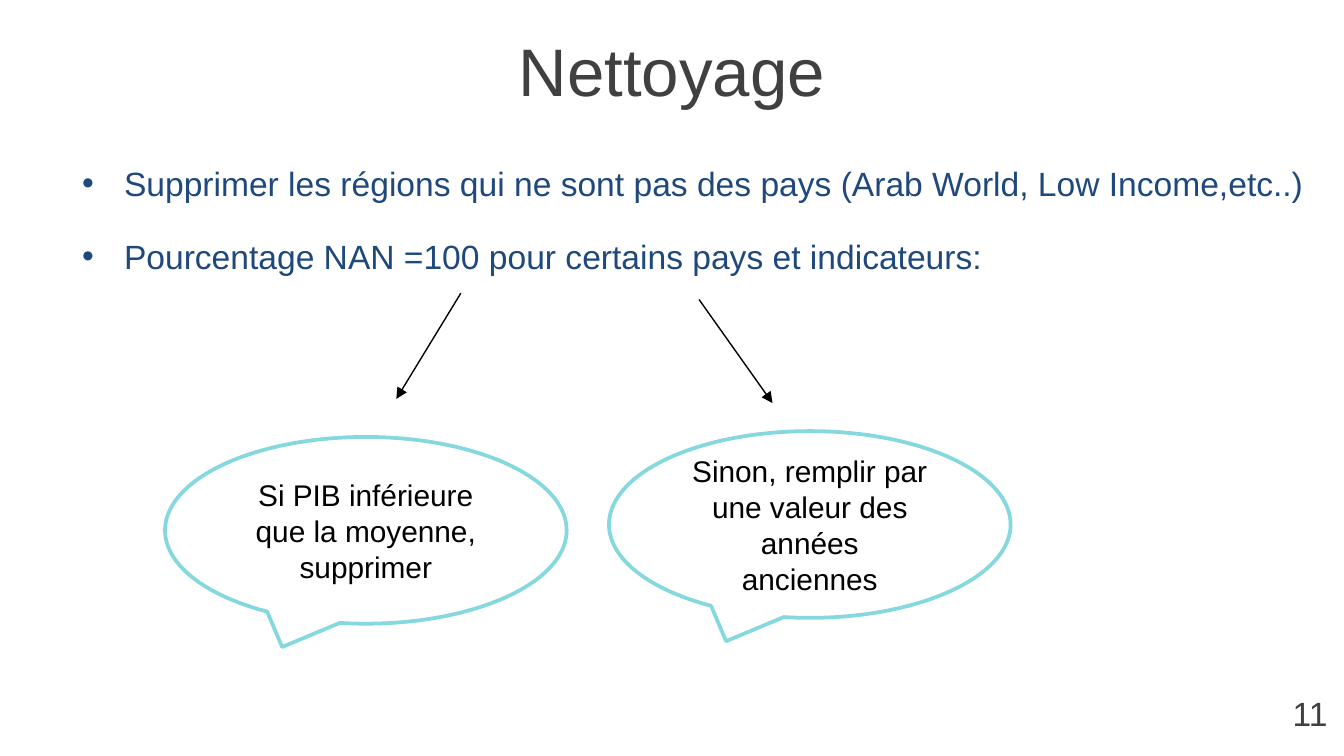
from lxml import etree
from pptx import Presentation
from pptx.dml.color import RGBColor
from pptx.enum.shapes import MSO_CONNECTOR, MSO_SHAPE
from pptx.enum.text import MSO_ANCHOR, MSO_AUTO_SIZE, PP_ALIGN
from pptx.oxml.ns import qn
from pptx.util import Cm, Pt

STRAIGHT = MSO_CONNECTOR.STRAIGHT
CALLOUT = MSO_SHAPE.OVAL_CALLOUT
MIDDLE, TOP = MSO_ANCHOR.MIDDLE, MSO_ANCHOR.TOP
CENTER, LEFT = PP_ALIGN.CENTER, PP_ALIGN.LEFT
NO_AUTOFIT = MSO_AUTO_SIZE.NONE

WHITE = RGBColor(0xFF, 0xFF, 0xFF)
BLACK = RGBColor(0x00, 0x00, 0x00)
GREY = RGBColor(0x40, 0x40, 0x40)
NAVY = RGBColor(0x1F, 0x49, 0x7D)
AQUA = RGBColor(0x85, 0xD8, 0xDE)
FONT = "Arial"

BULLETS = [
    "Supprimer les régions qui ne sont pas des pays (Arab World, Low Income,etc..)",
    "Pourcentage NAN =100 pour certains pays et indicateurs:",
]
# Start and end of each arrow, in cm
ARROWS = [((8.71, 5.54), (7.49, 7.54)), ((13.21, 5.66), (14.6, 7.62))]
# Left, top (cm) and lines of each callout
CALLOUTS = [
    (11.51, 8.15, ["Sinon, remplir par une valeur des", "années", "anciennes"]),
    (3.12, 8.26, ["Si PIB inférieure", "que la moyenne,", "supprimer"]),
]


def place(shape, left, top, width, height):
    shape.left, shape.top = Cm(left), Cm(top)
    shape.width, shape.height = Cm(width), Cm(height)


def write(tf, lines, size, color, align, anchor):
    """Fill a text frame with one paragraph per line, all in one style."""
    tf.word_wrap = True
    tf.auto_size = NO_AUTOFIT
    tf.vertical_anchor = anchor
    tf.text = "\n".join(lines)
    for p in tf.paragraphs:
        p.alignment = align
        p.space_before = Pt(0)
        p.font.name = FONT
        p.font.size = Pt(size)
        p.font.color.rgb = color


def add_title(s, text):
    title = s.shapes.title
    place(title, 0, 0.51, 25.4, 1.6)
    write(title.text_frame, [text], 36, GREY, CENTER, MIDDLE)


def add_bullets(s, lines):
    body = s.placeholders[1]
    place(body, 1.3, 2.95, 23.8, 2.4)
    write(body.text_frame, lines, 18, NAVY, LEFT, TOP)
    for p in body.text_frame.paragraphs:
        p.space_after = Pt(17.5)
        pPr = p._p.get_or_add_pPr()
        pPr.set("marL", str(Cm(0.79)))
        pPr.set("indent", str(-Cm(0.79)))


def add_page_number(s, number):
    box = s.shapes.add_textbox(Cm(24.18), Cm(12.98), Cm(1.22), Cm(1.02))
    write(box.text_frame, [number], 18, GREY, LEFT, TOP)


def add_arrow(s, start, end):
    (x1, y1), (x2, y2) = start, end
    arrow = s.shapes.add_connector(STRAIGHT, Cm(x1), Cm(y1), Cm(x2), Cm(y2))
    arrow.line.color.rgb = BLACK
    arrow.line.width = Pt(0.75)
    etree.SubElement(arrow.line._get_or_add_ln(), qn("a:tailEnd"), type="triangle")
    etree.SubElement(arrow._element.spPr, qn("a:effectLst"))


def add_callout(s, left, top, lines):
    sp = s.shapes.add_shape(CALLOUT, Cm(left), Cm(top), Cm(7.59), Cm(3.53))
    sp.shadow.inherit = False
    sp.fill.solid()
    sp.fill.fore_color.rgb = WHITE
    sp.line.color.rgb = AQUA
    sp.line.width = Pt(2)
    write(sp.text_frame, lines, 16, BLACK, CENTER, MIDDLE)


def main():
    prs = Presentation()
    prs.slide_width, prs.slide_height = Cm(25.4), Cm(14.29)
    s = prs.slides.add_slide(prs.slide_layouts[1])
    add_title(s, "Nettoyage")
    add_page_number(s, "11")
    add_bullets(s, BULLETS)
    for start, end in ARROWS:
        add_arrow(s, start, end)
    for left, top, lines in CALLOUTS:
        add_callout(s, left, top, lines)
    prs.save("out.pptx")


if __name__ == "__main__":
    main()
